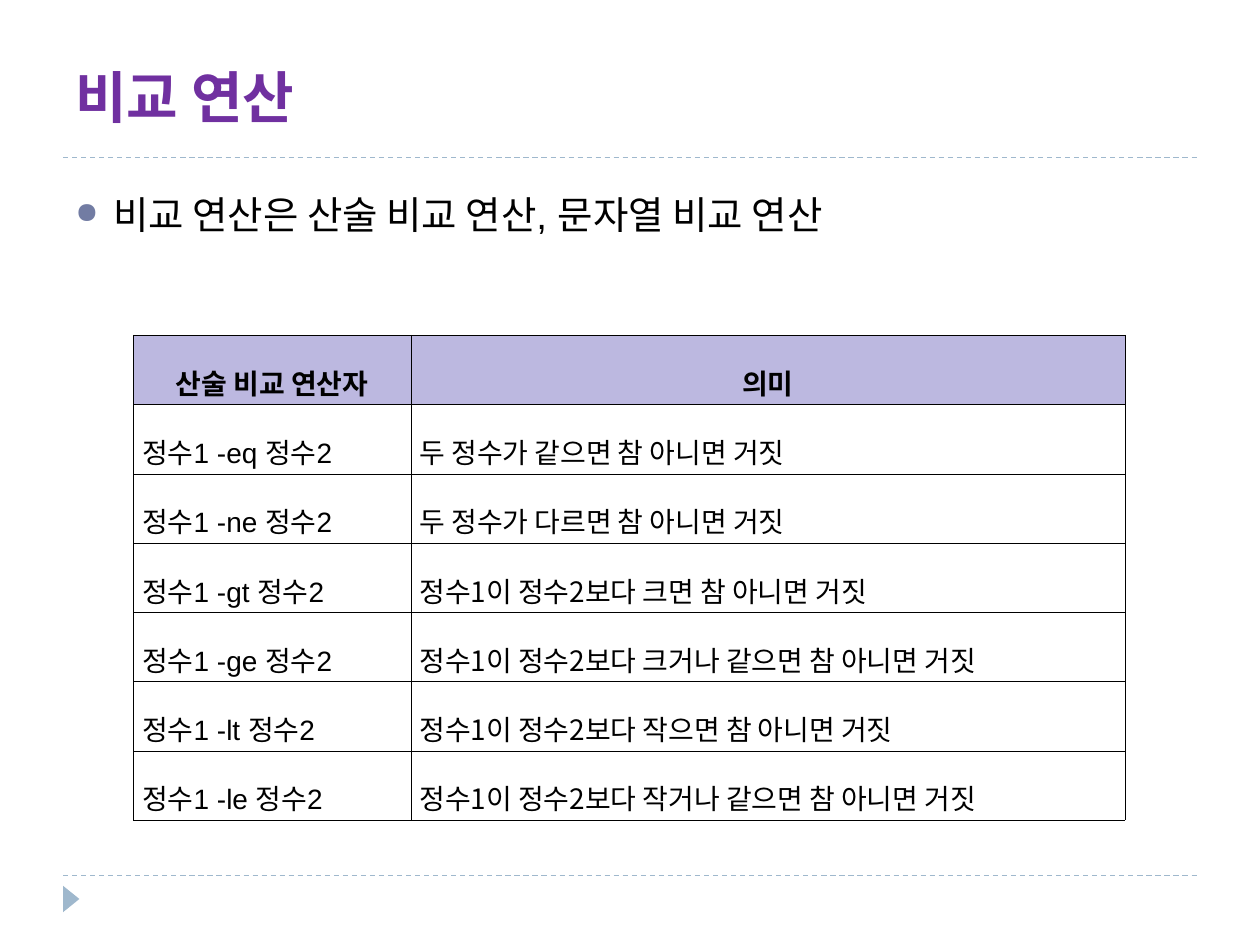
from pptx import Presentation
from pptx.dml.color import RGBColor
from pptx.enum.dml import MSO_LINE
from pptx.enum.shapes import MSO_CONNECTOR, MSO_SHAPE
from pptx.enum.text import MSO_ANCHOR, PP_ALIGN
from pptx.oxml.ns import qn
from pptx.util import Inches, Pt
from lxml.etree import SubElement, fromstring

KOREAN = "Noto Sans CJK KR"
LATIN = "Arial"
DRAWING_NS = "http://schemas.openxmlformats.org/drawingml/2006/main"


def color(value):
    return RGBColor.from_string(value)


def write(frame, text, size=16, font=LATIN, fill="000000", bold=False,
          align=PP_ALIGN.LEFT, spacing=None):
    paragraph = frame.paragraphs[0]
    paragraph.alignment = align
    paragraph.line_spacing = spacing
    run = paragraph.add_run()
    run.text = text
    run.font.size = Pt(size)
    run.font.bold = bold
    run.font.color.rgb = color(fill)
    run.font.name = font
    SubElement(run.font._element, qn("a:ea"), typeface=KOREAN)
    return paragraph


class SlideBuilder:
    accent = "9FB8CD"
    title_color = "7030A0"
    bullet_color = "727CA3"
    header_fill = "BCB8E0"
    border = "000000"

    def __init__(self, slide):
        self.slide = slide

    def rule(self, y):
        divider = self.slide.shapes.add_connector(
            MSO_CONNECTOR.STRAIGHT, Inches(0.5), Inches(y), Inches(9.5), Inches(y))
        divider.line.color.rgb = color(self.accent)
        divider.line.width = Pt(0.75)
        divider.line.dash_style = MSO_LINE.DASH
        SubElement(divider._element.spPr, qn("a:effectLst"))

    def marker(self, left, top, width, height):
        arrow = self.slide.shapes.add_shape(
            MSO_SHAPE.ISOSCELES_TRIANGLE,
            Inches(left), Inches(top), Inches(width), Inches(height))
        arrow.rotation = 90
        arrow.shadow.inherit = False
        arrow.fill.solid()
        arrow.fill.fore_color.rgb = color(self.accent)
        arrow.line.fill.background()

    def text_box(self, top, height, text, anchor=MSO_ANCHOR.TOP, **style):
        frame = self.slide.shapes.add_textbox(
            Inches(0.5), Inches(top), Inches(9), Inches(height)).text_frame
        frame.word_wrap = True
        frame.vertical_anchor = anchor
        return write(frame, text, **style)

    def title(self, text):
        self.text_box(0.17, 0.91, text, MSO_ANCHOR.BOTTOM,
                      size=32, fill=self.title_color, bold=True)

    def bullet(self, text):
        paragraph = self.text_box(1.47, 5.27, text, size=22)
        paragraph.space_before = Pt(6)
        properties = paragraph._p.get_or_add_pPr()
        properties.set("marL", str(Inches(0.3)))
        properties.set("indent", str(-Inches(0.3)))
        bullet_color = SubElement(properties, qn("a:buClr"))
        SubElement(bullet_color, qn("a:srgbClr"), val=self.bullet_color)
        SubElement(properties, qn("a:buSzPct"), val="76000")
        SubElement(properties, qn("a:buChar"), char="●")

    def outline(self, cell):
        properties = cell._tc.get_or_add_tcPr()
        for position, side in enumerate("LRTB"):
            properties.insert(position, fromstring(
                f'<a:ln{side} xmlns:a="{DRAWING_NS}" w="{Pt(0.28)}"><a:solidFill>'
                f'<a:srgbClr val="{self.border}"/></a:solidFill></a:ln{side}>'))

    def cell(self, cell, text, header, font):
        cell.margin_left = cell.margin_right = Inches(0.07)
        cell.margin_top = cell.margin_bottom = Inches(0.02)
        cell.vertical_anchor = MSO_ANCHOR.MIDDLE
        if header:
            cell.fill.solid()
            cell.fill.fore_color.rgb = color(self.header_fill)
        else:
            cell.fill.background()
        self.outline(cell)
        write(cell.text_frame, text, font=font, bold=header, spacing=1.6,
              align=PP_ALIGN.CENTER if header else PP_ALIGN.JUSTIFY)

    def table(self, left, top, widths, row_height, rows):
        grid = self.slide.shapes.add_table(
            len(rows), len(widths), Inches(left), Inches(top),
            Inches(sum(widths)), Inches(row_height * len(rows))).table
        grid.first_row = False
        grid.horz_banding = False
        for column, width in zip(grid.columns, widths):
            column.width = Inches(width)
        for row_index, row in enumerate(rows):
            grid.rows[row_index].height = Inches(row_height)
            for column_index, text in enumerate(row):
                header = row_index == 0
                font = LATIN if column_index == 0 and not header else KOREAN
                self.cell(grid.cell(row_index, column_index), text, header, font)


def main():
    presentation = Presentation()
    presentation.slide_width = Inches(10)
    presentation.slide_height = Inches(7.5)
    builder = SlideBuilder(
        presentation.slides.add_slide(presentation.slide_layouts[6]))

    for y in (6.95, 1.25):
        builder.rule(y)
    builder.marker(0.46, 7.07, 0.21, 0.13)
    builder.title("비교 연산")
    builder.bullet("비교 연산은 산술 비교 연산, 문자열 비교 연산")

    meanings = {
        "eq": "두 정수가 같으면",
        "ne": "두 정수가 다르면",
        "gt": "정수1이 정수2보다 크면",
        "ge": "정수1이 정수2보다 크거나 같으면",
        "lt": "정수1이 정수2보다 작으면",
        "le": "정수1이 정수2보다 작거나 같으면",
    }
    comparisons = [("산술 비교 연산자", "의미")]
    comparisons += [(f"정수1 -{operator} 정수2", f"{condition} 참 아니면 거짓")
                    for operator, condition in meanings.items()]
    builder.table(1.06, 2.66, (2.2, 5.67), 0.55, comparisons)
    presentation.save("out.pptx")


if __name__ == "__main__":
    main()
